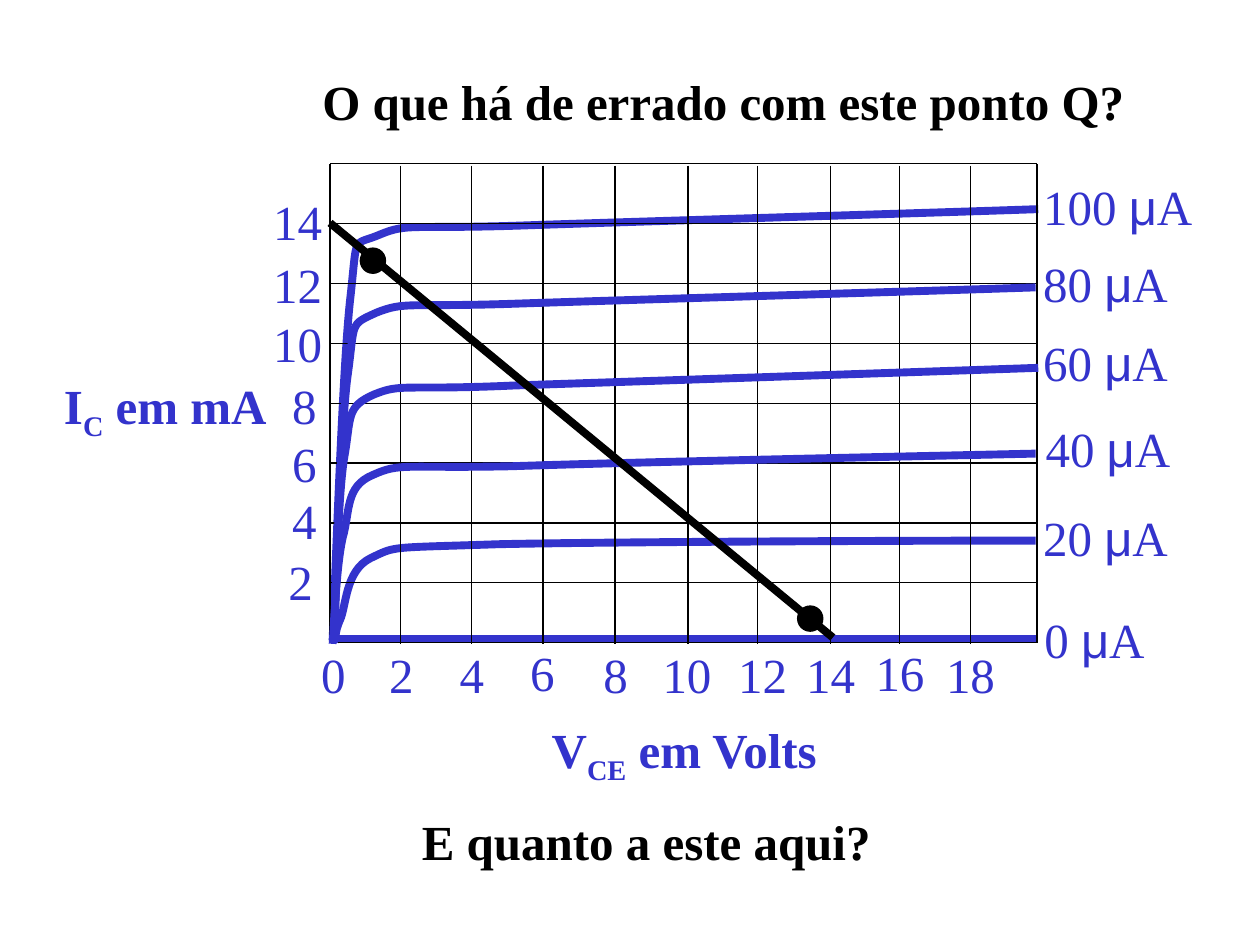
from dataclasses import dataclass

from lxml.etree import SubElement
from pptx import Presentation
from pptx.dml.color import RGBColor
from pptx.enum.shapes import MSO_CONNECTOR, MSO_SHAPE
from pptx.enum.text import MSO_AUTO_SIZE
from pptx.oxml.ns import qn
from pptx.util import Pt

COLORS = {"curve": "3333CC", "ink": "000000"}
SERIF = "Times New Roman"
SANS = "Arial"
THICK = 4.5
THIN = 0.75
LABEL_HEIGHT = 37.4
FRAME_FORMAT = {"word_wrap": False, "auto_size": MSO_AUTO_SIZE.SHAPE_TO_FIT_TEXT}
DIGIT_WIDTHS = {1: 28.1, 2: 42.5}

Point = tuple[float, float]


@dataclass(frozen=True)
class Span:
    text: str
    font: str = SERIF
    subscript: bool = False


@dataclass(frozen=True)
class Label:
    left: float
    top: float
    width: float
    spans: tuple[Span, ...]
    color: str = "curve"
    bold: bool = False


@dataclass(frozen=True)
class Curve:
    current: int
    label: Label
    start: Point
    segments: tuple[tuple[Point, Point, Point], ...]


def set_all(target: object, values: dict) -> None:
    for name, value in values.items():
        setattr(target, name, value)


def rgb(color: str) -> RGBColor:
    return RGBColor.from_string(COLORS[color])


def draw_label(page, label: Label) -> None:
    box = page.shapes.add_textbox(
        Pt(label.left), Pt(label.top), Pt(label.width), Pt(LABEL_HEIGHT)
    )
    set_all(box.text_frame, FRAME_FORMAT)
    para = box.text_frame.paragraphs[0]
    for part in label.spans:
        span = para.add_run()
        span.text = part.text
        set_all(span.font, {"name": part.font, "size": Pt(28), "bold": label.bold})
        span.font.color.rgb = rgb(label.color)
        if part.subscript:
            span.font._element.set("baseline", "-25000")


def draw_line(page, start: Point, end: Point, color: str, width: float) -> None:
    ends = [Pt(value) for value in (*start, *end)]
    line = page.shapes.add_connector(MSO_CONNECTOR.STRAIGHT, *ends)
    line.line.color.rgb = rgb(color)
    line.line.width = Pt(width)
    SubElement(line._element.spPr, qn("a:effectLst"))


def bend_segments(shape) -> None:
    outline = next(shape._element.iter(qn("a:path")))
    corners = outline.findall(qn("a:lnTo"))
    for first in range(0, len(corners), 3):
        bend = SubElement(outline, qn("a:cubicBezTo"))
        for corner in corners[first:first + 3]:
            bend.append(corner[0])
            outline.remove(corner)


def draw_curve(page, curve: Curve) -> None:
    controls = [(Pt(x), Pt(y)) for segment in curve.segments for x, y in segment]
    builder = page.shapes.build_freeform(Pt(curve.start[0]), Pt(curve.start[1]))
    builder.add_line_segments(controls, close=False)
    shape = builder.convert_to_shape()
    bend_segments(shape)
    shape.shadow.inherit = False
    shape.fill.background()
    shape.line.color.rgb = rgb("curve")
    shape.line.width = Pt(THICK)
    draw_label(page, curve.label)


def draw_grid(page) -> None:
    columns = (188.6, 229, 269.3, 310.3, 351.4, 393.1, 432.7, 474.5, 514.1, 554.4, 592.6)
    left, right = columns[0], columns[-1]
    top, row_gap, row_count = 93.6, 34.2, 9
    bottom = top + row_gap * (row_count - 1)
    for row in range(row_count):
        y = top + row * row_gap
        shift = 0.7 if row else 0
        draw_line(page, (left + shift, y), (right + shift, y), "ink", THIN)
    for x in columns:
        drop = 0 if x in (left, right) else 1
        draw_line(page, (x, top + drop), (x, bottom + drop), "ink", THIN)


def draw_dot(page, left: float, top: float) -> None:
    dot = page.shapes.add_shape(MSO_SHAPE.OVAL, Pt(left), Pt(top), Pt(14.4), Pt(14.4))
    dot.shadow.inherit = False
    dot.fill.solid()
    dot.fill.fore_color.rgb = rgb("ink")
    dot.line.color.rgb = rgb("ink")
    dot.line.width = Pt(THIN)


def number_label(value: int, left: float, top: float) -> Label:
    text = str(value)
    return Label(left, top, DIGIT_WIDTHS[len(text)], (Span(text),))


def current_label(value: int, left: float, top: float) -> Label:
    width = 57.6 + 14.2 * len(str(value))
    return Label(left, top, width, (Span(f"{value} "), Span("μ", SANS), Span("A")))


X_LEFTS = (176.4, 215.3, 255.6, 295.9, 337.7, 371.5, 414.7, 453.6, 493.2, 533.5)
RAISED = (6, 16)
Y_PLACES = (
    (157.7, 311.8), (159.8, 276.5), (159.8, 244.1), (159.8, 211),
    (149, 175.7), (149, 141.8), (149, 105.8),
)
AXIS_TITLES = (
    Label(308.2, 407.5, 172.8,
          (Span("V"), Span("CE", subscript=True), Span(" em Volts")), bold=True),
    Label(29.5, 211, 132.5,
          (Span("I"), Span("C", subscript=True), Span(" em mA")), bold=True),
)
TOP_QUESTION = Label(
    177.1, 37.4, 473, (Span("O que há de errado com este ponto Q?"),), "ink", True)
LOW_QUESTION = Label(234, 460.1, 271.4, (Span("E quanto a este aqui?"),), "ink", True)
CURVES = (
    Curve(20, current_label(20, 589, 286.6), (191.5, 367.2), (
        ((192.2, 365), (190.8, 362.2), (194.4, 354.2)),
        ((198, 346.3), (197.3, 326.2), (211.7, 319)),
        ((226.8, 311.8), (221, 313.2), (284.4, 311)),
        ((347.8, 309.6), (527.8, 308.9), (591.8, 308.9)))),
    Curve(100, current_label(100, 589, 97.2), (190.1, 365.8), (
        ((191.5, 333.4), (195.8, 208.8), (200.2, 170.6)),
        ((204.5, 131.8), (200.9, 141.1), (217.4, 133.9)),
        ((233.3, 127.4), (234.7, 131), (297.4, 128.9)),
        ((360, 126.7), (531.4, 121.7), (593.3, 119.5)))),
    Curve(80, current_label(80, 589, 141.1), (190.8, 367.2), (
        ((192.2, 341.3), (194.4, 246.2), (198.7, 214.6)),
        ((203, 183.6), (199.4, 185.8), (215.3, 178.6)),
        ((231.8, 172.1), (232.6, 175.7), (295.2, 173.5)),
        ((358.6, 171.4), (529.9, 166.3), (591.8, 164.2)))),
    Curve(60, current_label(60, 589, 186.5), (190.8, 367.2), (
        ((191.5, 349.2), (193, 285.1), (196.6, 262.1)),
        ((200.9, 238.3), (197.3, 232.6), (213.8, 225.4)),
        ((229.7, 218.9), (230.4, 223.2), (293.8, 220.3)),
        ((357.1, 218.2), (530.6, 212.4), (593.3, 210.2)))),
    Curve(40, current_label(40, 590.4, 235.4), (190.1, 367.9), (
        ((190.8, 357.8), (192.2, 323.3), (195.8, 307.4)),
        ((200.2, 291.6), (197.3, 277.9), (213.1, 271.4)),
        ((229, 264.2), (230.4, 267.8), (293, 266.4)),
        ((356.4, 264.2), (529.9, 260.6), (591.8, 259.2)))),
)


def main() -> None:
    deck = Presentation()
    set_all(deck, {"slide_width": Pt(720), "slide_height": Pt(540)})
    page = deck.slides.add_slide(deck.slide_layouts[6])
    for index, left in enumerate(X_LEFTS):
        volts = 2 * index
        draw_label(page, number_label(volts, left, 363.6 if volts in RAISED else 365))
    for index, (left, top) in enumerate(Y_PLACES, start=1):
        draw_label(page, number_label(2 * index, left, top))
    for label in AXIS_TITLES:
        draw_label(page, label)
    for curve in CURVES:
        draw_curve(page, curve)
        if curve.current == 20:
            draw_line(page, (190.1, 365), (591.8, 365), "curve", THICK)
            draw_label(page, current_label(0, 589.7, 344.9))
        if curve.current == 100:
            draw_grid(page)
    draw_line(page, (188.6, 127.4), (475.9, 364.3), "ink", THICK)
    draw_dot(page, 205.9, 141.8)
    draw_label(page, TOP_QUESTION)
    draw_dot(page, 455.8, 346.3)
    draw_label(page, LOW_QUESTION)
    deck.save("out.pptx")


if __name__ == "__main__":
    main()
